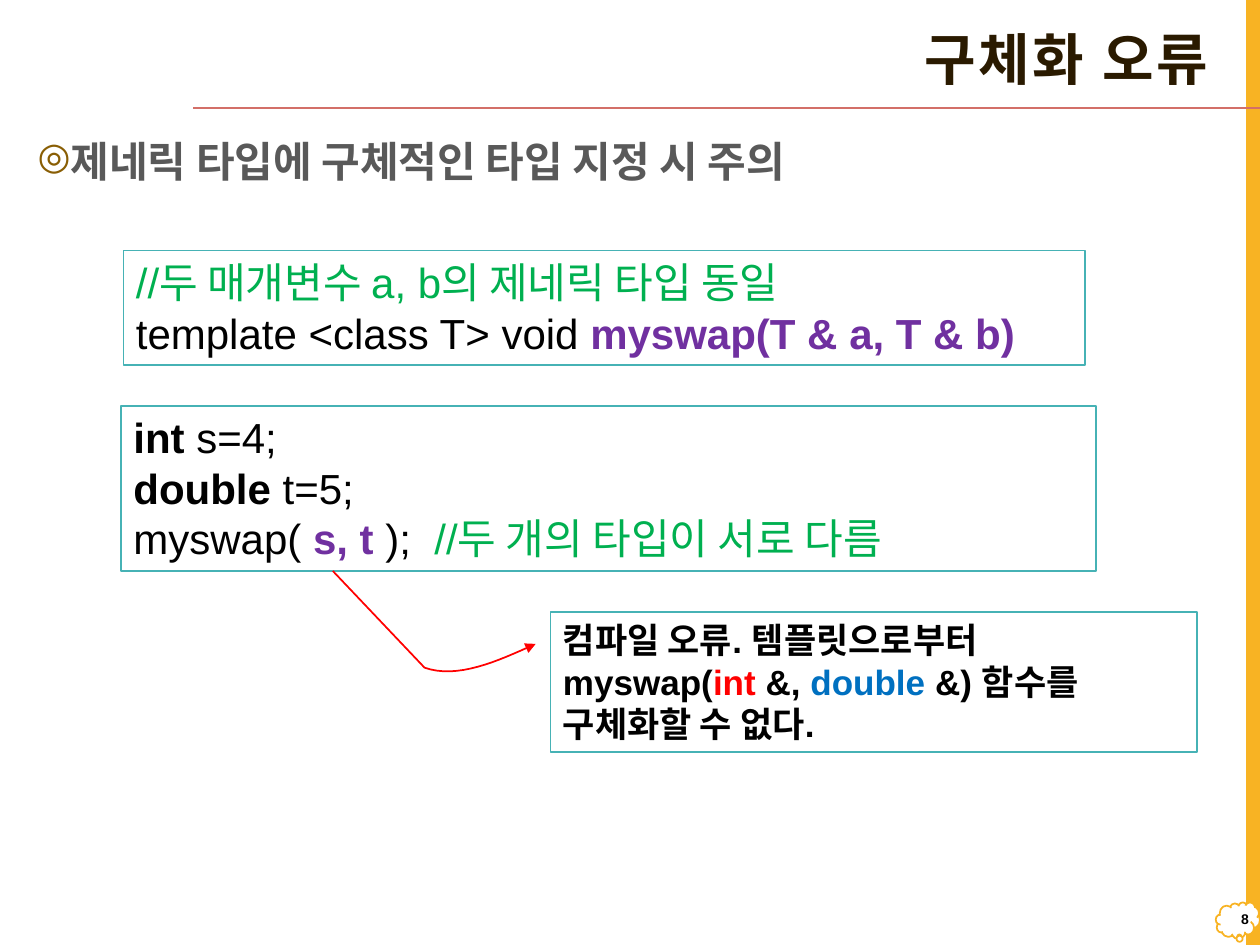
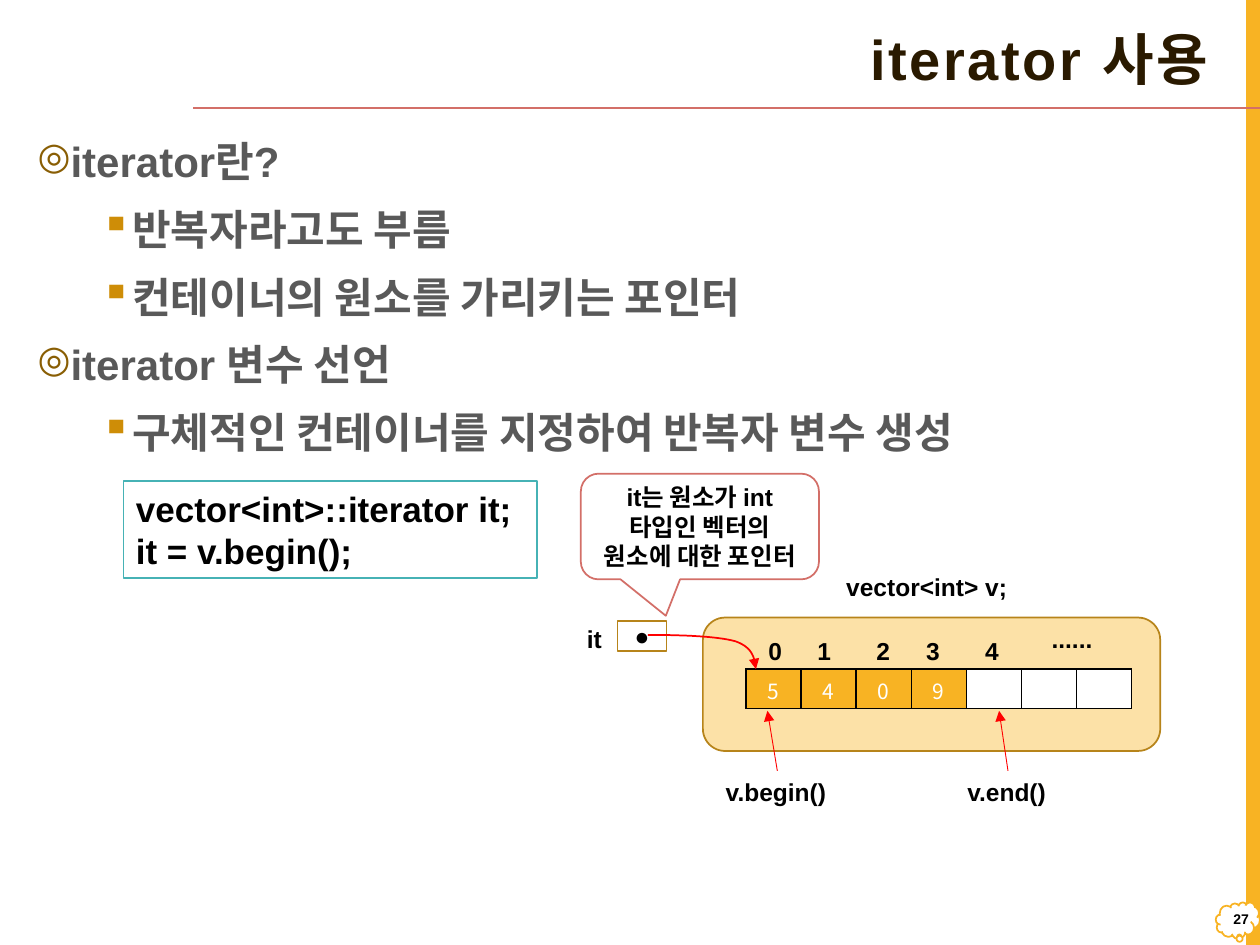
from lxml import etree
from pptx import Presentation
from pptx.dml.color import RGBColor
from pptx.enum.shapes import MSO_CONNECTOR, MSO_SHAPE
from pptx.enum.text import MSO_ANCHOR, PP_ALIGN
from pptx.oxml.ns import qn
from pptx.util import Cm, Pt

RECT = MSO_SHAPE.RECTANGLE
ROUND_RECT = MSO_SHAPE.ROUNDED_RECTANGLE
CALLOUT = MSO_SHAPE.ROUNDED_RECTANGULAR_CALLOUT
CLOUD = MSO_SHAPE.CLOUD_CALLOUT
STRAIGHT = MSO_CONNECTOR.STRAIGHT
TOP, MIDDLE = MSO_ANCHOR.TOP, MSO_ANCHOR.MIDDLE
LEFT, CENTER, RIGHT = PP_ALIGN.LEFT, PP_ALIGN.CENTER, PP_ALIGN.RIGHT

COLORS = {
    "white": "FFFFFF",
    "black": "000000",
    "amber": "F8B323",
    "pale_amber": "FCE1A7",
    "dark_amber": "B7841A",
    "rose": "D36F68",
    "teal": "46B2B5",
    "title": "2A1A00",
    "body": "595959",
    "ring": "895E04",
    "square": "CE8D07",
    "comment": "00B050",
    "purple": "7030A0",
    "red": "FF0000",
    "blue": "0070C0",
}
KOREAN_FONT = "Noto Sans CJK KR"
BULLETS = [("◎", "ring", 90, 0.25), ("▪", "square", 100, 0.75)]


def rgb(color):
    return RGBColor.from_string(COLORS[color])


def child(parent, tag, **attributes):
    return etree.SubElement(parent, qn(tag), attributes)


def set_font(paragraph, size, color="black", bold=True, name="Arial"):
    font = paragraph.font
    font.size, font.bold, font.name = Pt(size), bold, name
    font.color.rgb = rgb(color)
    defaults = paragraph._p.pPr.find(qn("a:defRPr"))
    child(defaults, "a:ea", typeface=KOREAN_FONT)
    return defaults


def write(frame, lines, size, align=LEFT, anchor=TOP, wrap=True, **font):
    frame.word_wrap = wrap
    frame.vertical_anchor = anchor
    for number, line in enumerate(lines):
        paragraph = frame.add_paragraph() if number else frame.paragraphs[0]
        paragraph.alignment = align
        set_font(paragraph, size, **font)
        for part in [line] if isinstance(line, str) else line:
            text, color, bold = (part, None, None) if isinstance(part, str) else part
            run = paragraph.add_run()
            run.text = text
            if color:
                run.font.color.rgb = rgb(color)
            if bold is not None:
                run.font.bold = bold


def add_label(slide, box, text, size=14, wrap=False, **options):
    label = slide.shapes.add_textbox(*map(Cm, box))
    write(label.text_frame, [text], size, wrap=wrap, **options)
    return label


def add_panel(slide, kind, box, fill, line=None, adjustments=()):
    panel = slide.shapes.add_shape(kind, *map(Cm, box))
    panel.shadow.inherit = False
    panel.fill.solid()
    panel.fill.fore_color.rgb = rgb(fill)
    if line:
        panel.line.color.rgb = rgb(line)
        panel.line.width = Pt(1)
    else:
        panel.line.fill.background()
    for index, value in enumerate(adjustments):
        panel.adjustments[index] = value
    return panel


def add_code(slide, box, lines, size, bold=False):
    panel = add_panel(slide, RECT, box, "white", "teal")
    write(panel.text_frame, lines, size, bold=bold)


def style_line(stroke, color, width, arrow=True):
    stroke.line.color.rgb = rgb(color)
    stroke.line.width = Pt(width)
    if arrow:
        child(stroke._element.spPr.find(qn("a:ln")), "a:tailEnd", type="triangle")


def add_straight(slide, start, end, color, width, arrow=True):
    connector = slide.shapes.add_connector(STRAIGHT, *map(Cm, start + end))
    style_line(connector, color, width, arrow)
    child(connector._element.spPr, "a:effectLst")


def bezier(p0, p1, p2, p3, steps=16):
    for step in range(1, steps + 1):
        t = step / steps
        weights = ((1 - t) ** 3, 3 * t * (1 - t) ** 2, 3 * t**2 * (1 - t), t**3)
        yield tuple(
            sum(w * p[axis] for w, p in zip(weights, (p0, p1, p2, p3)))
            for axis in (0, 1)
        )


def add_curved_arrow(slide, points):
    path = [(Cm(x), Cm(y)) for x, y in points]
    builder = slide.shapes.build_freeform(*path[0])
    builder.add_line_segments(path[1:], close=False)
    curve = builder.convert_to_shape()
    curve.shadow.inherit = False
    curve.fill.background()
    style_line(curve, "red", 1)


def add_frame(slide, title, page, title_font="Arial"):
    add_panel(slide, RECT, (25.12, 0, 0.28, 19.05), "amber")
    add_panel(slide, CLOUD, (24.51, 18.19, 0.89, 0.74), "white", "amber", (0.034, 0.431))
    add_straight(slide, (25.4, 2.18), (3.89, 2.18), "rose", 1, arrow=False)
    heading = add_label(slide, (3.35, 0.33, 21.26, 1.85), title, 32, wrap=True,
                        align=RIGHT, anchor=MIDDLE, color="title", name=title_font)
    paragraph = heading.text_frame.paragraphs[0]
    paragraph.line_spacing = 0.9
    paragraph._p.pPr.find(qn("a:defRPr")).set("spc", "150")
    add_label(slide, (24.54, 18.08, 0.89, 0.89), page, 8, wrap=True,
              align=RIGHT, anchor=MIDDLE)


def add_outline(slide, box, items):
    frame = slide.shapes.add_textbox(*map(Cm, box)).text_frame
    frame.word_wrap = True
    for number, (level, text) in enumerate(items):
        paragraph = frame.add_paragraph() if number else frame.paragraphs[0]
        paragraph.text = text
        paragraph.level = level
        paragraph.line_spacing = 1.1
        if number:
            paragraph.space_before = Pt(7)
        symbol, color, percent, indent = BULLETS[level]
        properties = paragraph._p.get_or_add_pPr()
        properties.set("marL", str(Cm(indent * 2.54)))
        properties.set("indent", str(-Cm(0.635)))
        child(child(properties, "a:buClr"), "a:srgbClr", val=COLORS[color])
        child(properties, "a:buSzPct", val=str(percent * 1000))
        child(properties, "a:buChar", char=symbol)
        set_font(paragraph, 24, "body")


def add_cells(slide, box, values):
    grid = slide.shapes.add_table(1, len(values), *map(Cm, box)).table
    grid.first_row = grid.horz_banding = False
    for cell, value in zip(grid.iter_cells(), values):
        cell.margin_top, cell.margin_bottom = Cm(0.08), 0
        cell.vertical_anchor = MIDDLE
        for side in ("L", "R", "T", "B"):
            border = child(cell._tc.get_or_add_tcPr(), f"a:ln{side}", w=str(Pt(1)))
            child(child(border, "a:solidFill"), "a:srgbClr", val=COLORS["black"])
        cell.fill.solid()
        cell.fill.fore_color.rgb = rgb("amber" if value else "white")
        paragraph = cell.text_frame.paragraphs[0]
        paragraph.text = value
        paragraph.alignment = CENTER
        set_font(paragraph, 12, "white", False, KOREAN_FONT)
        if not value:
            child(paragraph._p, "a:endParaRPr", sz="1200")


def add_vector_diagram(slide, box):
    left, top, width, height = box

    def at(x, y, *size):
        return (left + x, top + y) + size

    add_panel(slide, ROUND_RECT, box, "pale_amber", "dark_amber")
    add_cells(slide, at(0.87, 1.04, 7.77, 0.79), ["5", "4", "0", "9", "", "", ""])
    for index, x in enumerate((1.07, 2.06, 3.25, 4.25, 5.44)):
        add_label(slide, at(x, 0.25, 0.86, 0.86), str(index))
    for x, y, label_width, text in (
        (6.78, 0, 1.35, "......"),
        (2.64, -1.05, 4.09, "vector<int> v;"),
        (-2.59, 0, 0.84, "it"),
    ):
        add_label(slide, at(x, y, label_width, 0.86), text)

    pointer = add_panel(slide, RECT, at(-1.72, 0.07, 0.99, 0.61), "white", "dark_amber")
    write(pointer.text_frame, ["●"], 14, CENTER, MIDDLE, wrap=False)
    start, bend, first_cell = at(-1.11, 0.35), at(0.66, 0.48), at(1.07, 1.04)
    add_curved_arrow(slide, [
        start,
        *bezier(start, at(-0.4, 0.35), at(0.31, 0.38), bend),
        *bezier(bend, at(1.02, 0.61), at(1.04, 0.83), first_cell),
    ])

    callout = add_panel(slide, CALLOUT, at(-2.46, -2.9, 4.8, 2.13), "white", "rose",
                        (-0.143, 0.845, 0.167))
    write(callout.text_frame, ["it는 원소가 int 타입인 벡터의 원소에 대한 포인터"],
          14, CENTER, MIDDLE)

    for text, x, label_width, foot, tip in (
        ("v.begin()", 0.21, 2.57, 1.5, 1.3),
        ("v.end()", 5.08, 2.13, 6.15, 5.97),
    ):
        add_label(slide, at(x, height + 0.4, label_width, 0.86), text)
        add_straight(slide, at(foot, height + 0.4), at(tip, 1.88), "red", 0.5)


def add_instantiation_error(slide):
    add_frame(slide, "구체화 오류", "8", "Arial Narrow")
    add_outline(slide, OUTLINE_BOX, [(0, "제네릭 타입에 구체적인 타입 지정 시 주의")])
    add_code(slide, (2.49, 5.05, 19.38, 2.31), [
        [("//두 매개변수 a, b의 제네릭 타입 동일", "comment", None)],
        ["template <class T> void ", ("myswap(T & a, T & b)", "purple", True)],
    ], 24)
    add_code(slide, (2.44, 8.18, 19.66, 3.33), [
        [("int", None, True), " s=4;"],
        [("double", None, True), " t=5;"],
        ["myswap( ", ("s, t ", "purple", True), ");  ",
         ("//두 개의 타입이 서로 다름", "comment", None)],
    ], 24)
    add_code(slide, (11.1, 12.34, 13.03, 2.82), [
        "컴파일 오류. 템플릿으로부터",
        ["myswap(", ("int ", "red", None), "&, ", ("double", "blue", None),
         " &) 함수를 구체화할 수 없다."],
    ], 20, bold=True)
    call, corner, message = (6.71, 11.51), (8.56, 13.46), (10.8, 12.98)
    add_curved_arrow(slide, [
        call, corner, *bezier(corner, (9.22, 13.69), (10.01, 13.34), message)])


def add_iterator_usage(slide):
    add_frame(slide, "iterator 사용", "27")
    add_outline(slide, OUTLINE_BOX, [
        (0, "iterator란?"),
        (1, "반복자라고도 부름"),
        (1, "컨테이너의 원소를 가리키는 포인터"),
        (0, "iterator 변수 선언"),
        (1, "구체적인 컨테이너를 지정하여 반복자 변수 생성"),
    ])
    add_code(slide, (2.49, 9.7, 8.33, 1.96),
             ["vector<int>::iterator it;", "it = v.begin();"], 20, bold=True)
    add_vector_diagram(slide, (14.17, 12.45, 9.22, 2.69))


OUTLINE_BOX = (0.51, 2.51, 24.21, 16.21)


def main():
    deck = Presentation()
    deck.slide_width, deck.slide_height = Cm(25.4), Cm(19.05)
    for build in (add_instantiation_error, add_iterator_usage):
        build(deck.slides.add_slide(deck.slide_layouts[6]))
    deck.save("out.pptx")


if __name__ == "__main__":
    main()
